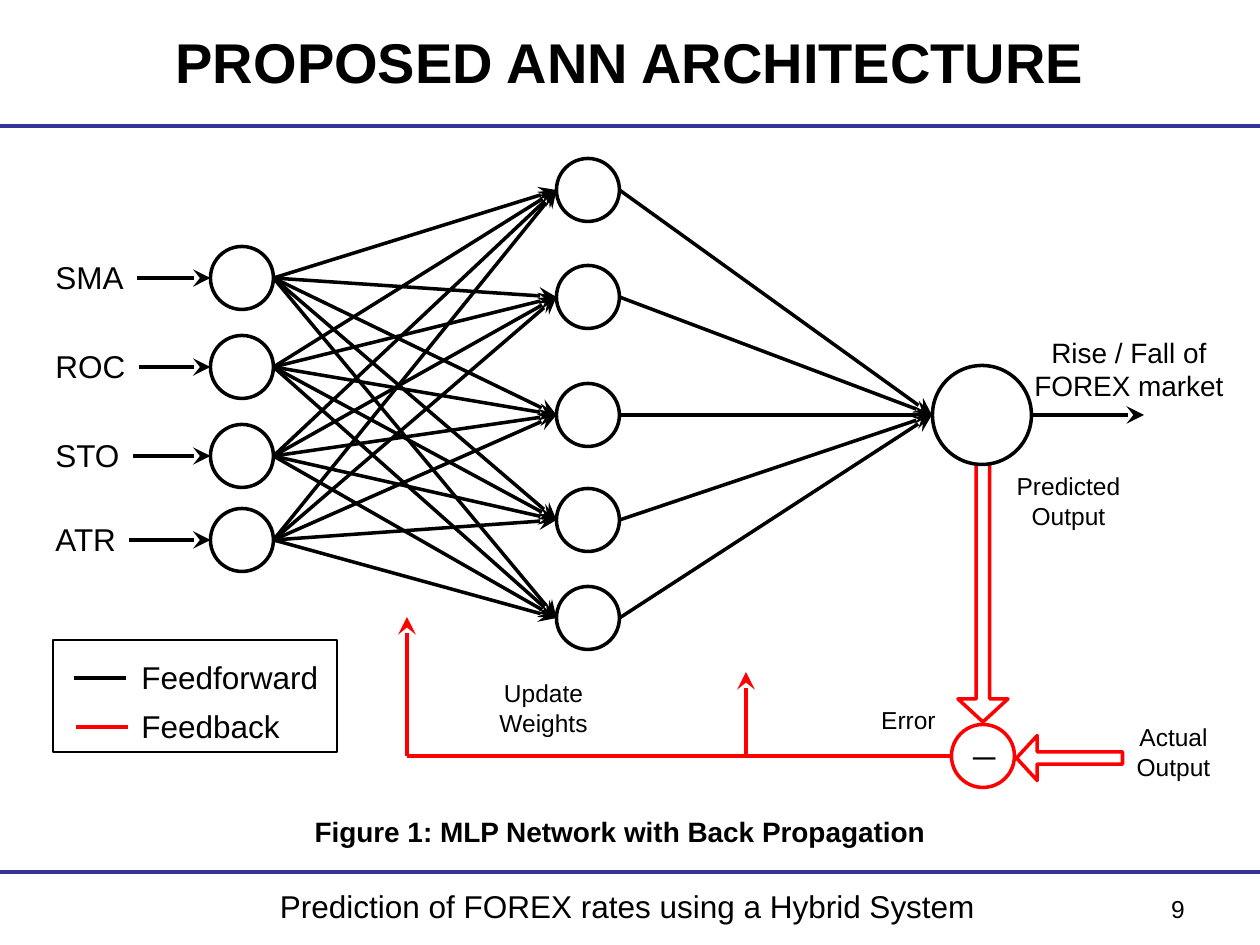
from pptx import Presentation, util as u
from pptx.dml.color import RGBColor
from pptx.enum import shapes as s, text as t
from pptx.oxml import parse_xml
from pptx.oxml.ns import nsdecls

SCALE = 914400 / 126
BLACK, WHITE, RED, NAVY = "000000", "FFFFFF", "FF0000", "333399"
ALIGN = {"l": t.PP_ALIGN.LEFT, "c": t.PP_ALIGN.CENTER, "r": t.PP_ALIGN.RIGHT}
SIZE = 63


def px(n):
    return u.Emu(round(n * SCALE))


def color(code):
    return RGBColor.from_string(code)


def write(frame, words, size=18, bold=False, align="l", wrap=True, mid=False):
    frame.word_wrap = wrap
    frame.vertical_anchor = t.MSO_ANCHOR.MIDDLE if mid else t.MSO_ANCHOR.TOP
    par = frame.paragraphs[0]
    par.alignment = ALIGN[align]
    run = par.add_run()
    run.text = words
    font = run.font
    font.name, font.size, font.bold = "Arial", u.Pt(size), bold
    font.color.rgb = color(BLACK)


def label(slide, words, x, y, w, h, **form):
    box = slide.shapes.add_textbox(px(x), px(y), px(w), px(h))
    write(box.text_frame, words, **form)


def line(slide, start, end, ink=BLACK, width=2, head=False):
    link = slide.shapes.add_connector(
        s.MSO_CONNECTOR.STRAIGHT, *map(px, (*start, *end)))
    link.line.color.rgb = color(ink)
    link.line.width = u.Pt(width)
    if head:
        link.line._get_or_add_ln().append(parse_xml(
            f'<a:tailEnd {nsdecls("a")} type="stealth" w="lg" len="lg"/>'))
    link._element.spPr.append(parse_xml(f'<a:effectLst {nsdecls("a")}/>'))


def shape(slide, kind, x, y, w, h, ink=BLACK, width=2, fill=None):
    item = slide.shapes.add_shape(kind, px(x), px(y), px(w), px(h))
    item.shadow.inherit = False
    if fill:
        item.fill.solid()
        item.fill.fore_color.rgb = color(fill)
    else:
        item.fill.background()
    item.line.color.rgb = color(ink)
    item.line.width = u.Pt(width)
    return item


def node(slide, x, y, size=SIZE, ink=BLACK):
    return shape(slide, s.MSO_SHAPE.OVAL, x - size / 2, y - size / 2,
                 size, size, ink, fill=WHITE)


def arrow(slide, x, y, w, h, turn=0):
    item = shape(slide, s.MSO_SHAPE.DOWN_ARROW, x, y, w, h, RED)
    item.adjustments[0], item.adjustments[1] = 0.27, 0.46
    item.rotation = turn


def frame(slide):
    for y in (126, 872):
        line(slide, (0, y), (1260, y), NAVY, 2.25)
    label(slide, "PROPOSED ANN ARCHITECTURE", 63, 17, 1134, 88,
          size=32, bold=True, align="c", mid=True)
    label(slide, "Prediction of FOREX rates using a Hybrid System",
          164, 881, 927, 57, align="c")
    label(slide, "9", 903, 888, 294, 66, size=14, align="r")
    label(slide, "Figure 1: MLP Network with Back Propagation",
          295, 808, 650, 47, size=16, bold=True, align="c")


def legend(slide):
    shape(slide, s.MSO_SHAPE.RECTANGLE, 53, 640, 284, 112, width=0.75)
    rows = (("Feedforward", 678, 74, 206, BLACK),
            ("Feedback", 727, 76, 168, RED))
    for words, y, x, w, ink in rows:
        line(slide, (x, y), (x + 52, y), ink)
        label(slide, words, 129, y - 26, w, 50)


def network(slide):
    half = SIZE / 2
    left, inner, goal = 242, 588, (932, 415)
    inputs = (("SMA", 278, 137), ("ROC", 367, 139),
              ("STO", 456, 133), ("ATR", 540, 129))
    hidden = (190, 297, 415, 520, 618)
    for words, y, x in inputs:
        label(slide, words, 43, y - 26, 100, 50)
        line(slide, (x, y), (left - half, y), head=True)
        node(slide, left, y)
        for end in hidden:
            line(slide, (left + half, y), (inner - half, end), head=True)
    for y in hidden:
        node(slide, inner, y)
        line(slide, (inner + half, y), goal, head=True)
    arrow(slide, 958, 456, 50, 266)
    node(slide, 982, 415, 99)
    line(slide, (1032, 415), (1144, 415), head=True)
    label(slide, "Rise / Fall of FOREX market", 1008, 329, 242, 81,
          size=16, align="c")


def feedback(slide):
    base = 756
    line(slide, (951, base), (407, base), RED)
    for x, top in ((407, 617), (746, 672)):
        line(slide, (x, base), (x, top), RED, head=True)
    minus = node(slide, 983, base, ink=RED)
    write(minus.text_frame, "─", align="c", mid=True)
    arrow(slide, 1047, 705, 45, 106, 90)
    notes = (("Predicted Output", 1003, 465, 131),
             ("Actual Output", 1108, 716, 131),
             ("Error", 867, 699, 83),
             ("Update Weights", 478, 672, 131))
    for words, x, y, w in notes:
        label(slide, words, x, y, w, 72 if " " in words else 43,
              size=14, align="c")


def main():
    deck = Presentation()
    deck.slide_width, deck.slide_height = px(1260), px(945)
    slide = deck.slides.add_slide(deck.slide_layouts[6])
    for part in (frame, legend, network, feedback):
        part(slide)
    deck.save("out.pptx")


if __name__ == "__main__":
    main()
